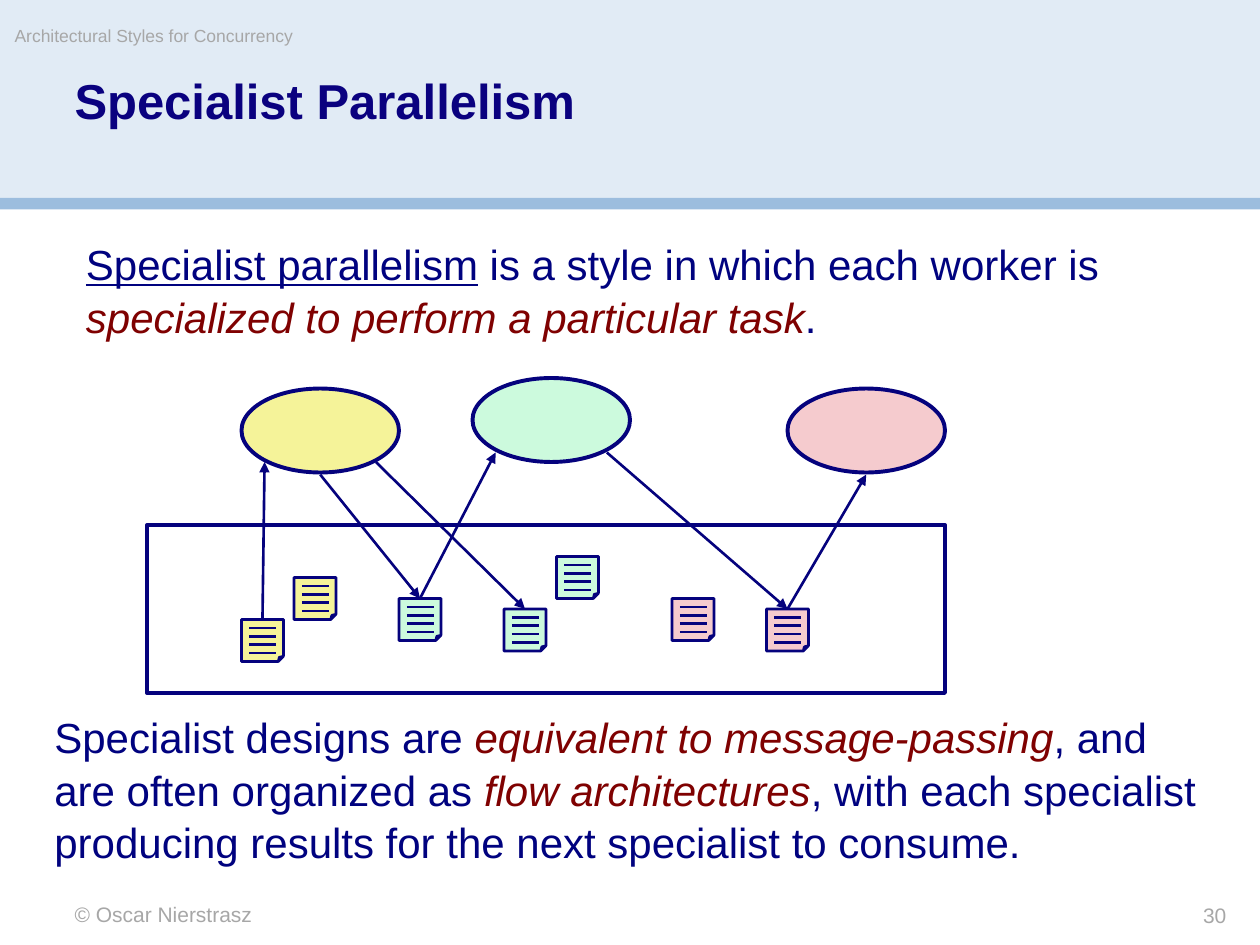
from lxml import etree
from pptx import Presentation, util as u
from pptx.dml.color import RGBColor
from pptx.enum import shapes, text
from pptx.oxml.ns import qn

COLUMNS, ROWS = 120, 90
NAVY, TITLE, BODY, RED, GREY = "05027D", "0A017F", "00027F", "7F0101", "A7A7A7"
YELLOW, GREEN, PINK = "F5F399", "CCFADD", "F5CBCE"
NOTE_SIZE = 4


def color(value):
    return RGBColor.from_string(value)


class Page:
    """Draws styled elements on a slide, measured in grid columns and rows."""

    font = "Arial"
    thin, thick = u.Pt(1.5), u.Pt(2.25)

    def __init__(self, presentation):
        self.slide = presentation.slides.add_slide(presentation.slide_layouts[6])
        self.column = presentation.slide_width / COLUMNS
        self.row = presentation.slide_height / ROWS

    def place(self, x, y):
        return u.Emu(round(x * self.column)), u.Emu(round(y * self.row))

    def shape(self, kind, x, y, width, height, fill=None, line=None, parent=None):
        parent = parent or self.slide
        shape = parent.shapes.add_shape(
            kind, *self.place(x, y), *self.place(width, height))
        shape.shadow.inherit = False
        if fill:
            shape.fill.solid()
            shape.fill.fore_color.rgb = color(fill)
        else:
            shape.fill.background()
        if line:
            shape.line.color.rgb = color(NAVY)
            shape.line.width = line
        else:
            shape.line.fill.background()
        return shape

    def line(self, start, end, parent=None):
        parent = parent or self.slide
        line = parent.shapes.add_connector(
            shapes.MSO_CONNECTOR.STRAIGHT, *self.place(*start), *self.place(*end))
        line.line.color.rgb = color(NAVY)
        line.line.width = self.thin
        etree.SubElement(line._element.spPr, qn("a:effectLst"))
        return line

    def arrow(self, note, worker_point, to_worker):
        """Join the top of a note to a point on a worker's outline."""
        start, end = ((0, 0), worker_point) if to_worker else (worker_point, (0, 0))
        arrow = self.line(start, end)
        join = arrow.begin_connect if to_worker else arrow.end_connect
        join(note, 0)
        outline = arrow._element.spPr.find(qn("a:ln"))
        etree.SubElement(outline, qn("a:tailEnd"), type="triangle")

    def note(self, x, y, fill):
        """A sheet with a folded corner and four evenly spaced lines."""
        group = self.slide.shapes.add_group_shape()
        sheet = self.shape(shapes.MSO_SHAPE.FOLDED_CORNER, x, y,
                           NOTE_SIZE, NOTE_SIZE, fill, self.thin, group)
        geometry = sheet._element.spPr.find(qn("a:prstGeom"))
        etree.SubElement(geometry.find(qn("a:avLst")), qn("a:gd"),
                         name="adj", fmla="val 12500")
        for number in range(1, 5):
            level = y + number * NOTE_SIZE / 5
            self.line((x + 0.75, level), (x + 3.3, level), group)
        return sheet

    def text(self, x, y, width, height, runs, size, wrap=True, inset=True,
             align=text.PP_ALIGN.LEFT, spacing=1.0):
        """Each run is its wording, its colour and any font switches."""
        frame = self.slide.shapes.add_textbox(
            *self.place(x, y), *self.place(width, height)).text_frame
        frame.word_wrap = wrap
        frame.vertical_anchor = text.MSO_ANCHOR.TOP
        if not inset:
            frame.margin_left = frame.margin_right = 0
            frame.margin_top = frame.margin_bottom = 0
        paragraph = frame.paragraphs[0]
        paragraph.alignment = align
        paragraph.line_spacing = spacing
        for wording, tint, *switches in runs:
            run = paragraph.add_run()
            run.text = wording
            run.font.name = self.font
            run.font.size = u.Pt(size)
            run.font.color.rgb = color(tint)
            for switch in switches:
                setattr(run.font, switch, True)


def main():
    presentation = Presentation()
    presentation.slide_width, presentation.slide_height = u.Inches(10), u.Inches(7.5)
    page = Page(presentation)
    kinds = shapes.MSO_SHAPE

    # Header band and its rule
    page.shape(kinds.RECTANGLE, 0, 0, COLUMNS, 19, "E1EBF5")
    page.shape(kinds.RECTANGLE, 0, 18.85, COLUMNS, 1.1, "9CBDDE")

    # Running header, title and footer
    page.text(1.4, 2.4, 70.8, 3.4, [("Architectural Styles for Concurrency", GREY)],
              10, wrap=False, inset=False)
    page.text(7.1, 7.3, 106, 10.7, [("Specialist Parallelism", TITLE, "bold")],
              28, inset=False, spacing=0.9)
    page.text(7.1, 85.9, 50, 2.4, [("© Oscar Nierstrasz", GREY)], 12, inset=False)
    page.text(99, 86, 17.8, 2.4, [("30", GREY)], 12, inset=False,
              align=text.PP_ALIGN.RIGHT)

    # Statements above and below the diagram
    page.text(7, 21.9, 104, 10.9, [
        ("Specialist parallelism", BODY, "underline"),
        (" is a style in which each worker is ", BODY),
        ("specialized to perform a particular task", RED, "italic"),
        (".", BODY)], 24, spacing=1.05)
    page.text(4, 66.9, 113, 15.7, [
        ("Specialist designs are ", BODY),
        ("equivalent to message-passing", RED, "italic"),
        (", and are often organized as ", BODY),
        ("flow architectures", RED, "italic"),
        (", with each specialist producing results for the next specialist to consume.",
         BODY)], 24, spacing=1.05)

    # Shared space and the three workers
    page.shape(kinds.RECTANGLE, 14, 50, 76, 16, line=page.thick)
    for x, y, fill in ((23, 37, YELLOW), (45, 36, GREEN), (75, 37, PINK)):
        page.shape(kinds.OVAL, x, y, 15, 8, fill, page.thick)

    # Notes that wait, then notes that workers exchange
    for x, y, fill in ((28, 55, YELLOW), (53, 53, GREEN), (64, 57, PINK)):
        page.note(x, y, fill)
    request = page.note(23, 59, YELLOW)
    handover = page.note(38, 57, GREEN)
    spare = page.note(48, 58, GREEN)
    result = page.note(73, 58, PINK)

    # Flow between workers and notes
    for note, point, to_worker in (
            (request, (25.2, 44), True),
            (handover, (30.5, 45.2), False),
            (handover, (47.2, 43.1), True),
            (spare, (35.8, 44), False),
            (result, (57.8, 43.1), False),
            (result, (82.5, 45.2), True)):
        page.arrow(note, point, to_worker)

    presentation.save("out.pptx")


if __name__ == "__main__":
    main()
